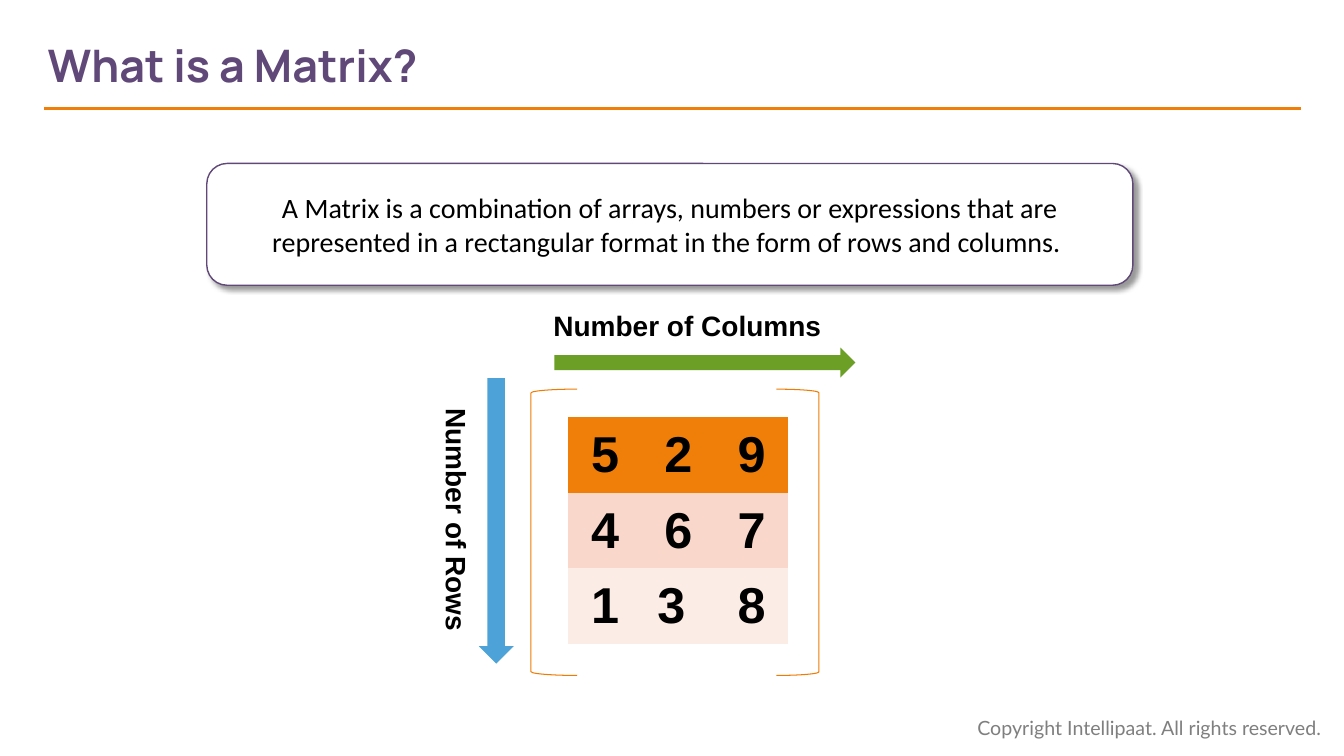
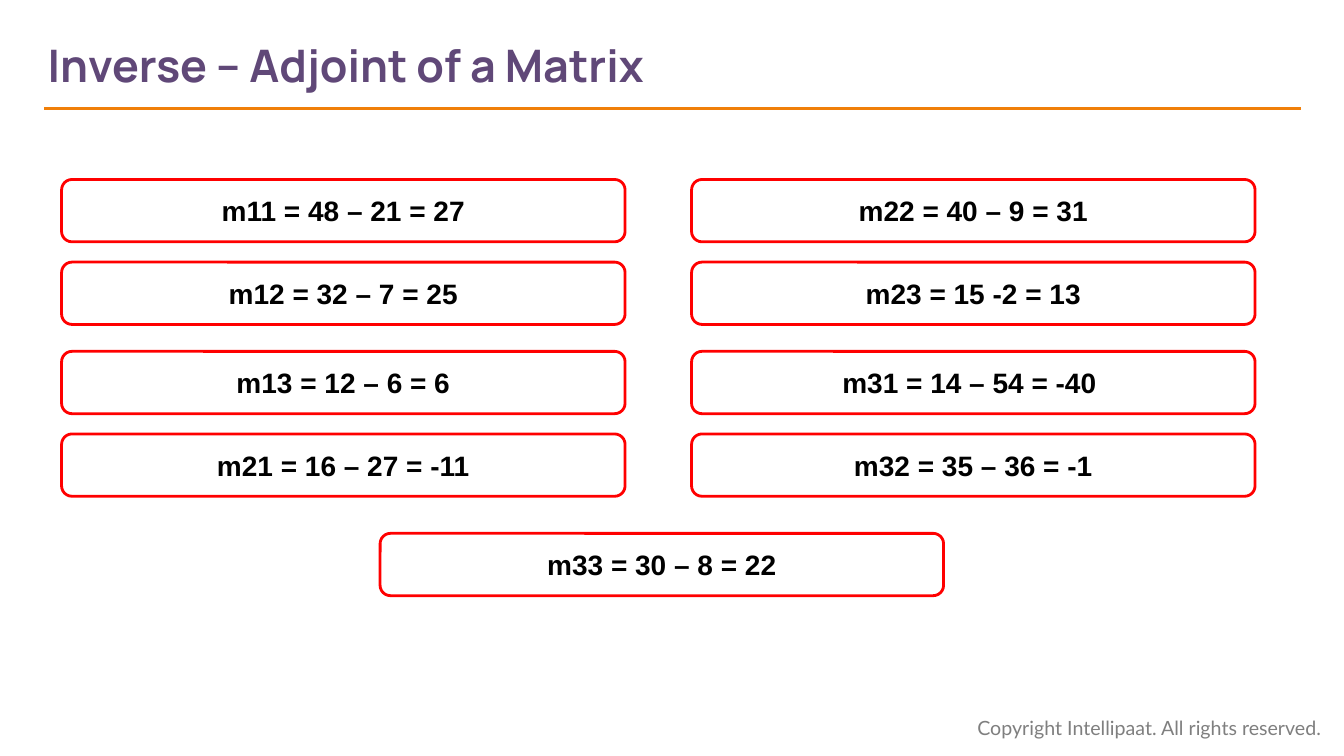
from lxml import etree
from pptx import Presentation
from pptx.dml.color import RGBColor
from pptx.enum import shapes, text
from pptx.oxml import ns
from pptx.util import Pt

PURPLE = RGBColor(0x60, 0x48, 0x78)
ORANGE = RGBColor(0xF0, 0x7F, 0x09)
BRACKET_ORANGE = RGBColor(0xEF, 0x7C, 0x02)
PEACH = RGBColor(0xF9, 0xD7, 0xCA)
PALE_PEACH = RGBColor(0xFC, 0xEC, 0xE6)
GREEN = RGBColor(0x6B, 0x9F, 0x25)
BLUE = RGBColor(0x4D, 0xA3, 0xD8)
RED = RGBColor(0xFF, 0x00, 0x00)
GREY = RGBColor(0x7F, 0x7F, 0x7F)
BLACK = RGBColor(0x00, 0x00, 0x00)
WHITE = RGBColor(0xFF, 0xFF, 0xFF)

SHAPE = shapes.MSO_SHAPE
LEFT, CENTER = text.PP_ALIGN.LEFT, text.PP_ALIGN.CENTER
TITLE_ONLY = 5
NO_GRID_STYLE = "{2D5ABB26-0587-4C30-8999-92F81FD0307C}"
COPYRIGHT = "Copyright Intellipaat. All rights reserved."


def write(frame, words, font="Arial", size=20, color=BLACK, bold=True, align=CENTER):
    frame.text = words
    para = frame.paragraphs[0]
    para.alignment = align
    for span in para.runs:
        span.font.name = font
        span.font.size = Pt(size)
        span.font.bold = bold
        span.font.color.rgb = color


def add_label(page, left, top, width, height, words, **style):
    box = page.shapes.add_textbox(Pt(left), Pt(top), Pt(width), Pt(height))
    box.text_frame.word_wrap = True
    write(box.text_frame, words, **style)
    return box


def add_figure(parent, kind, left, top, width, height, fill=None, line=None, weight=1):
    """Add a preset shape without shadow; a missing fill or line is not drawn."""
    figure = parent.shapes.add_shape(kind, Pt(left), Pt(top), Pt(width), Pt(height))
    figure.shadow.inherit = False
    if fill is None:
        figure.fill.background()
    else:
        figure.fill.solid()
        figure.fill.fore_color.rgb = fill
    if line is None:
        figure.line.fill.background()
    else:
        figure.line.color.rgb = line
        figure.line.width = Pt(weight)
    return figure


def add_text_figure(page, kind, left, top, width, height, words, style, **look):
    figure = add_figure(page, kind, left, top, width, height, **look)
    frame = figure.text_frame
    frame.word_wrap = True
    frame.vertical_anchor = text.MSO_ANCHOR.MIDDLE
    write(frame, words, **style)
    return figure


def add_drop_shadow(figure):
    effects = figure._element.spPr.find(ns.qn("a:effectLst"))
    shadow = etree.SubElement(effects, ns.qn("a:outerShdw"), blurRad=str(Pt(4)),
                              dist=str(Pt(3)), dir="2700000", algn="tl", rotWithShape="0")
    color = etree.SubElement(shadow, ns.qn("a:srgbClr"), val=str(BLACK))
    etree.SubElement(color, ns.qn("a:alpha"), val="40000")


def add_page(deck, heading):
    """Add a slide with the shared title, rule and copyright line."""
    page = deck.slides.add_slide(deck.slide_layouts[TITLE_ONLY])
    add_label(page, 691, 507.5, 264, 24.5, COPYRIGHT,
              font="Lato", size=14, color=GREY, bold=False, align=LEFT)

    rule = page.shapes.add_connector(shapes.MSO_CONNECTOR.STRAIGHT,
                                     Pt(31.5), Pt(77.5), Pt(929), Pt(77.5))
    rule.line.color.rgb = ORANGE
    rule.line.width = Pt(2.25)
    etree.SubElement(rule._element.spPr, ns.qn("a:effectLst"))

    title = page.shapes.title
    title.left, title.top, title.width, title.height = Pt(34), Pt(16), Pt(682), Pt(60.5)
    frame = title.text_frame
    frame.margin_left = 0
    frame.vertical_anchor = text.MSO_ANCHOR.MIDDLE
    write(frame, heading, font="Manrope", size=32, color=PURPLE, align=LEFT)
    return page


def add_matrix(page, left, top, column_width, row_height, rows, fills):
    holder = page.shapes.add_table(len(rows), len(rows[0]), Pt(left), Pt(top),
                                   Pt(column_width * len(rows[0])),
                                   Pt(row_height * len(rows)))
    table = holder.table
    table.first_row = table.horz_banding = False
    table._tbl.tblPr.find(ns.qn("a:tableStyleId")).text = NO_GRID_STYLE
    for r, (row, fill) in enumerate(zip(rows, fills)):
        for c, value in enumerate(row):
            cell = table.cell(r, c)
            cell.fill.solid()
            cell.fill.fore_color.rgb = fill
            cell.vertical_anchor = text.MSO_ANCHOR.MIDDLE
            write(cell.text_frame, value, size=36)


def build_matrix_page(deck):
    page = add_page(deck, "What is a Matrix?")
    definition = add_text_figure(
        page, SHAPE.ROUNDED_RECTANGLE, 147.75, 116.75, 661.5, 87,
        "A Matrix is a combination of arrays, numbers or expressions that are "
        "represented in a rectangular format in the form of rows and columns. ",
        {"font": "Calibri", "bold": False}, fill=WHITE, line=PURPLE)
    add_drop_shadow(definition)

    brackets = page.shapes.add_group_shape()
    for kind, left, width in ((SHAPE.LEFT_BRACKET, 379.25, 33),
                              (SHAPE.RIGHT_BRACKET, 554.5, 30.5)):
        add_figure(brackets, kind, left, 278, width, 204.5,
                   line=BRACKET_ORANGE, weight=0.75)
    add_matrix(page, 406, 298, 52.4, 54,
               (("5", "2", "9"), ("4", "6", "7"), ("1", "3 ", "8")),
               (ORANGE, PEACH, PALE_PEACH))

    add_figure(page, SHAPE.RIGHT_ARROW, 396, 248.25, 215, 21.5, fill=GREEN)
    add_figure(page, SHAPE.DOWN_ARROW, 342, 270, 25, 204, fill=BLUE)
    rows_label = add_label(page, 220.5, 355.5, 211.5, 31.5, "Number of Rows")
    rows_label.rotation = 90
    add_label(page, 375, 217, 232, 31.5, "Number of Columns")


def build_minors_page(deck):
    page = add_page(deck, "Inverse – Adjoint of a Matrix")
    columns = {
        44: ("m11 = 48 – 21 = 27", "m12 = 32 – 7 = 25",
             "m13 = 12 – 6 = 6", "m21 = 16 – 27 = -11"),
        494: ("m22 = 40 – 9 = 31", "m23 = 15 -2 = 13",
              "m31 = 14 – 54 = -40 ", "m32 = 35 – 36 = -1"),
    }
    tops = (128.25, 187.25, 251, 310)
    minors = [(left, top, words) for left, column in columns.items()
              for top, words in zip(tops, column)]
    minors.append((271.5, 381, "m33 = 30 – 8 = 22"))
    for left, top, words in minors:
        add_text_figure(page, SHAPE.FLOWCHART_ALTERNATE_PROCESS, left, top, 402.5, 44.5,
                        words, {}, line=RED, weight=2)


def main():
    deck = Presentation()
    deck.slide_width, deck.slide_height = Pt(960), Pt(540)
    build_matrix_page(deck)
    build_minors_page(deck)
    deck.save("out.pptx")


if __name__ == "__main__":
    main()
